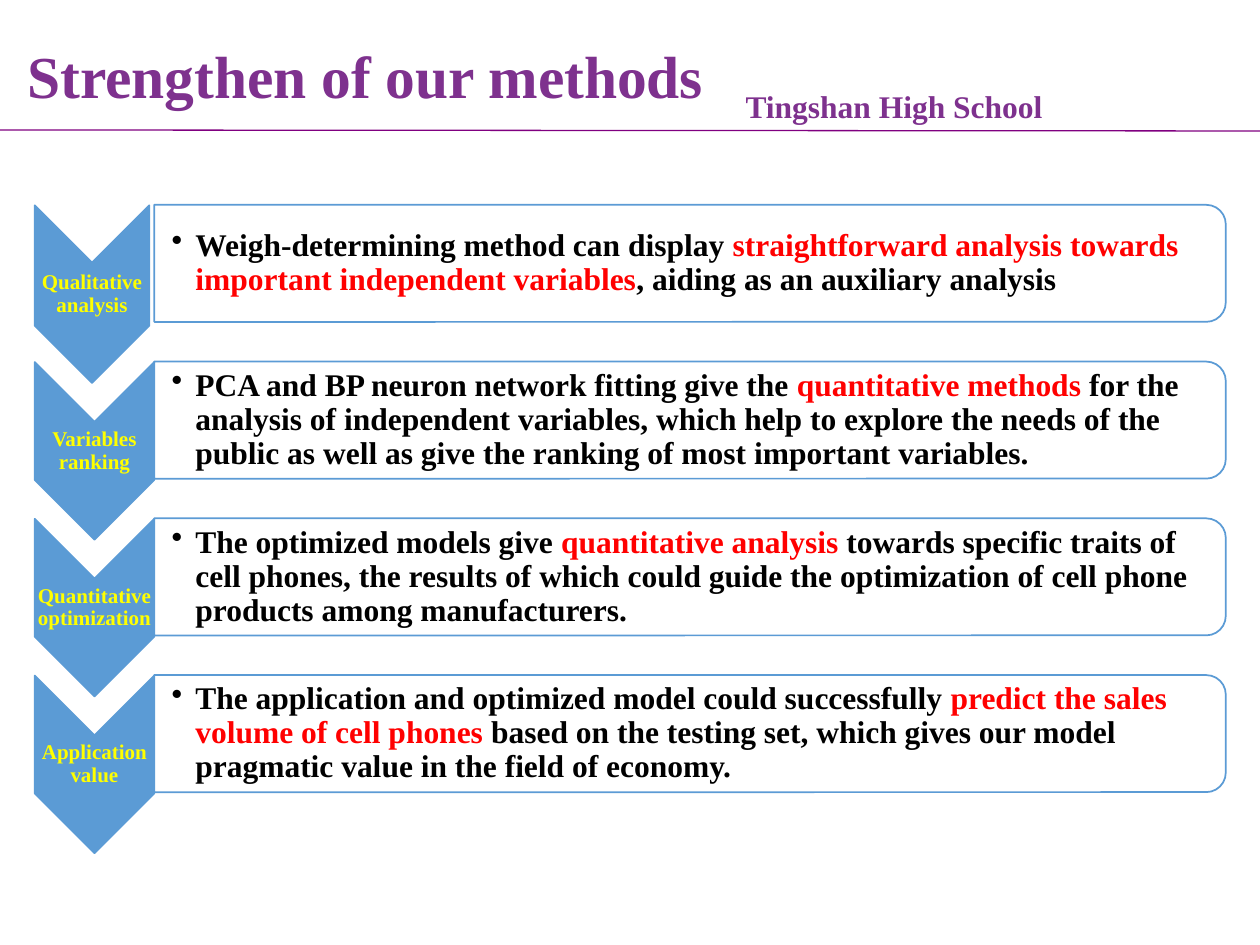
from lxml.etree import SubElement
from pptx import Presentation
from pptx.dml.color import RGBColor
from pptx.enum.shapes import MSO_CONNECTOR, MSO_SHAPE
from pptx.enum.text import MSO_ANCHOR, PP_ALIGN
from pptx.oxml.ns import qn
from pptx.util import Cm, Pt

PURPLE, BLUE, WHITE = "7E318E", "5B9BD5", "FFFFFF"
BLACK, RED, YELLOW = "000000", "FF0000", "FFFF00"
PITCH = 3.16


def add_text(left, top, width, height, spans, size, align=PP_ALIGN.LEFT, inset=0.03):
    box = slide.shapes.add_textbox(Cm(left), Cm(top), Cm(width), Cm(height))
    frame = box.text_frame
    frame.word_wrap = True
    frame.vertical_anchor = MSO_ANCHOR.MIDDLE
    frame.margin_left = Cm(inset)
    frame.margin_right = frame.margin_top = frame.margin_bottom = Cm(0.03)
    para = frame.paragraphs[0]
    para.alignment = align
    para.line_spacing = 0.9
    for text, color in spans:
        span = para.add_run()
        span.text = text
        span.font.name = "Times New Roman"
        span.font.size = Pt(size)
        span.font.bold = True
        span.font.color.rgb = RGBColor.from_string(color)
    return para


def add_turned(kind, center_x, center_y, width, height, fill):
    shape = slide.shapes.add_shape(
        kind, Cm(center_x - width / 2), Cm(center_y - height / 2), Cm(width), Cm(height))
    shape.rotation = 90
    shape.shadow.inherit = False
    shape.fill.solid()
    shape.fill.fore_color.rgb = RGBColor.from_string(fill)
    shape.line.color.rgb = RGBColor.from_string(BLUE)
    shape.line.width = Pt(1)


deck = Presentation()
deck.slide_width, deck.slide_height = Cm(25.4), Cm(19.05)
slide = deck.slides.add_slide(deck.slide_layouts[6])

rule = slide.shapes.add_connector(MSO_CONNECTOR.STRAIGHT, 0, Cm(2.62), Cm(25.4), Cm(2.64))
rule.line.color.rgb = RGBColor.from_string("800080")
rule.line.width = Pt(0.75)
SubElement(rule.element.spPr, qn("a:effectLst"))

school = add_text(14.78, 1.63, 6.5, 1.02, [("Tingshan High School", PURPLE)], 18, inset=0.25)
school.line_spacing = 1
add_text(0.3, 0, 22.86, 3.18, [("Strengthen of our methods", PURPLE)], 34, inset=0.25)

methods = [
    ("Qualitative analysis", 2.31,
     "Weigh-determining method can display ",
     "straightforward analysis towards important independent variables",
     ", aiding as an auxiliary analysis"),
    ("Variables ranking", 2.41,
     "PCA and BP neuron network fitting give the ",
     "quantitative methods ",
     "for the analysis of independent variables, which help to explore the needs of "
     "the public as well as give the ranking of most important variables."),
    ("Quantitative optimization", 2.41,
     "The optimized models give ",
     "quantitative analysis ",
     "towards specific traits of cell phones, the results of which could guide the "
     "optimization of cell phone products among manufacturers."),
    ("Application value", 2.41,
     "The application and optimized model could successfully ",
     "predict the sales volume of cell phones",
     " based on the testing set, which gives our model pragmatic value in the field "
     "of economy."),
]

for row, (label, chevron_width, opening, emphasis, ending) in enumerate(methods):
    chevron_y = 5.93 + row * PITCH
    band_y = 5.31 + row * PITCH
    add_turned(MSO_SHAPE.CHEVRON, 0.7 + chevron_width / 2, chevron_y, 3.58, chevron_width, BLUE)
    add_text(0.7, chevron_y - 0.6, chevron_width, 1.2, [(label, YELLOW)], 12, PP_ALIGN.CENTER)
    add_turned(MSO_SHAPE.ROUND_2_SAME_RECTANGLE, 13.91, band_y, 2.36, 21.6, WHITE)
    spans = [(opening, BLACK), (emphasis, RED), (ending, BLACK)]
    para = add_text(3.1, band_y - 1.07, 21.49, 2.14, spans, 18, inset=0.36)
    properties = para._p.get_or_add_pPr()
    properties.set("marL", str(Cm(0.48)))
    properties.set("indent", str(-Cm(0.48)))
    SubElement(properties, qn("a:buChar")).set("char", "•")

deck.save("out.pptx")
